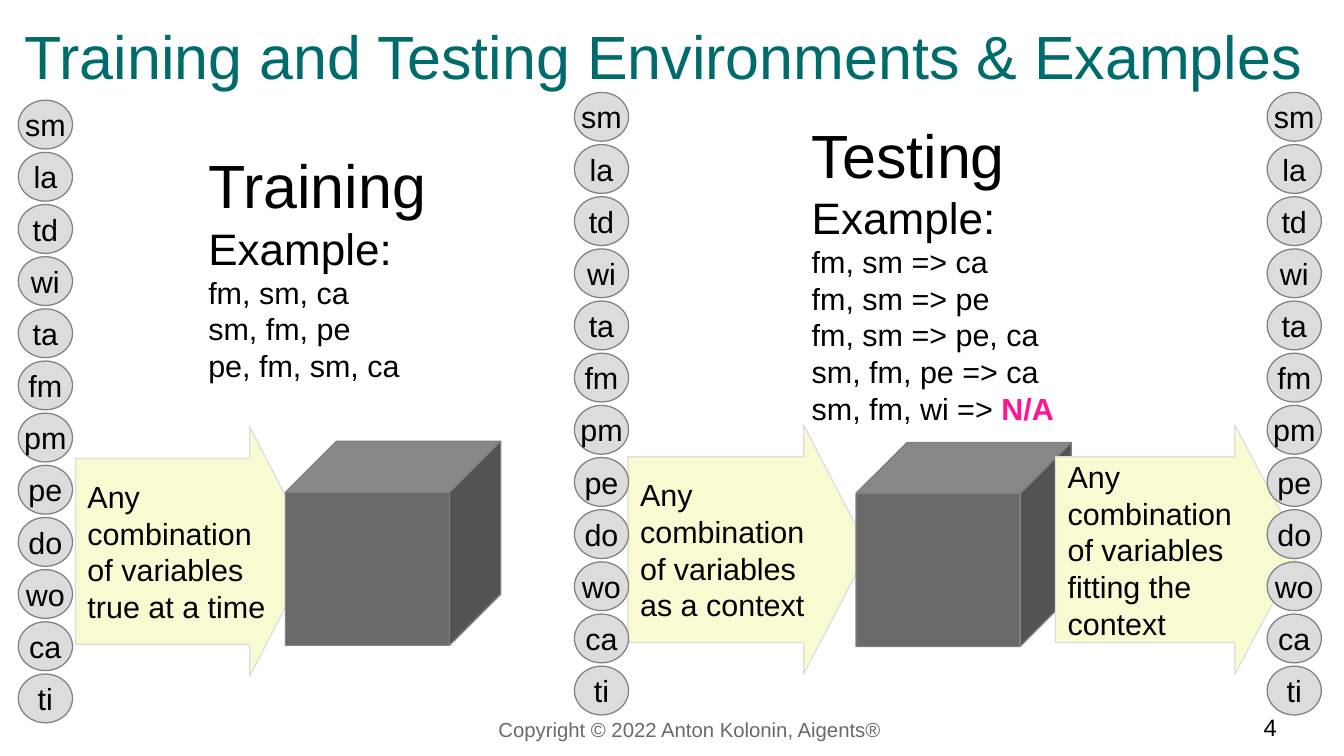
"""Build the slide on training and testing environments and examples."""
import pptx
import pptx.dml.color
import pptx.enum.shapes
import pptx.enum.text
import pptx.util

Pt = pptx.util.Pt
Kind = pptx.enum.shapes.MSO_SHAPE
Align = pptx.enum.text.PP_ALIGN
Anchor = pptx.enum.text.MSO_ANCHOR

TITLE = "Training and Testing Environments & Examples "
FOOTER = "Copyright © 2022 Anton Kolonin, Aigents®"
PAGE = "4"
LABELS = ["sm", "la", "td", "wi", "ta", "fm", "pm", "pe", "do", "wo", "ca", "ti"]
COLUMNS = [(10.8, 59.2), (339.1, 54.6), (748.1, 54.6)]
FLOW = [
    ("arrow", (370.8, 251.1, 142, 147), "Any combination of variables as a context"),
    ("cube", (505.4, 261.2, 127, 120.5), ""),
    ("arrow", (623.2, 251.1, 145, 147), "Any combination of variables fitting the context"),
    ("arrow", (44.6, 252.1, 141, 147), "Any combination of variables true at a time"),
    ("cube", (168.6, 260.5, 127, 120.5), ""),
]
EXAMPLES = [
    ((115.9, 83.8, 160.6, 136.8), "Training",
     ["fm, sm, ca", "sm, fm, pe", "pe, fm, sm, ca"], ""),
    ((472.1, 65.8, 188.6, 177.1), "Testing",
     ["fm, sm => ca", "fm, sm => pe", "fm, sm => pe, ca", "sm, fm, pe => ca",
      "sm, fm, wi => "], "N/A"),
]

THEME = {
    "font": "Arial", "text": "000000", "title": "006B6B", "footer": "696969",
    "alert": "FF1493", "dot": "DCDCDC", "edge": "808080",
    "arrow": "FAFAD2", "rim": "DCDCDC", "cube": "696969",
    "head": 36, "sub": 26, "body": 18, "page": 14, "small": 12,
}
WIDTH, HEIGHT = 793.44, 446.4
DOT_W, DOT_H, DOT_STEP = 32, 28.8, 30.8
INSET = (7.2, 3.6, 7.2, 3.6)
FLAT = (0, 0, 0, 0)


def paint(name):
    """Look up a theme colour."""
    return pptx.dml.color.RGBColor.from_string(THEME[name])


def style(run, size, color="text"):
    """Set the face, size and colour of a run."""
    run.font.name = THEME["font"]
    run.font.size = Pt(THEME[size])
    run.font.color.rgb = paint(color)


def write(shape, lines, color="text", align=Align.LEFT, anchor=Anchor.MIDDLE,
          inset=INSET, wrap=True):
    """Fill a shape with (text, size) lines."""
    frame = shape.text_frame
    frame.text = "\n".join(text for text, size in lines)
    frame.word_wrap = wrap
    frame.vertical_anchor = anchor
    (frame.margin_left, frame.margin_top,
     frame.margin_right, frame.margin_bottom) = map(Pt, inset)
    for para, (text, size) in zip(frame.paragraphs, lines):
        para.alignment = align
        for run in para.runs:
            style(run, size, color)


def draw(shapes, kind, box, fill, line):
    """Add a filled shape with a hairline."""
    shape = shapes.add_shape(kind, *map(Pt, box))
    shape.shadow.inherit = False
    shape.fill.solid()
    shape.fill.fore_color.rgb = paint(fill)
    shape.line.color.rgb = paint(line)
    shape.line.width = Pt(0)
    return shape


def label(shapes, box, lines, **looks):
    """Add a text box."""
    shape = shapes.add_textbox(*map(Pt, box))
    write(shape, lines, **looks)
    return shape


def main():
    """Lay out the slide and save it."""
    deck = pptx.Presentation()
    deck.slide_width, deck.slide_height = Pt(WIDTH), Pt(HEIGHT)
    shapes = deck.slides.add_slide(deck.slide_layouts[6]).shapes

    for part, box, text in FLOW:
        if part == "cube":
            draw(shapes, Kind.CUBE, box, "cube", "edge")
            continue
        arrow = draw(shapes, Kind.RIGHT_ARROW, box, "arrow", "rim")
        arrow.adjustments[0], arrow.adjustments[1] = 0.746, 0.27
        write(arrow, [(text, "body")], inset=(7.2, 3.6, 0, 3.6))

    label(shapes, (0, -1.4, WIDTH, 67.7), [(TITLE, "head")],
          color="title", align=Align.CENTER, wrap=False)

    for left, top in COLUMNS:
        group = shapes.add_group_shape().shapes
        for row, name in enumerate(LABELS):
            box = (left, top + row * DOT_STEP, DOT_W, DOT_H)
            dot = draw(group, Kind.OVAL, box, "dot", "edge")
            write(dot, [(name, "body")], align=Align.CENTER, wrap=False)

    for box, head, cases, alert in EXAMPLES:
        lines = [(head, "head"), ("Example:", "sub")]
        lines += [(case, "body") for case in cases]
        note = label(shapes, box, lines, anchor=Anchor.TOP)
        if alert:
            run = note.text_frame.paragraphs[-1].add_run()
            run.text = alert
            style(run, "body", "alert")
            run.font.bold = True

    label(shapes, (121, 417.6, 572.4, 20.2), [(FOOTER, "small")], color="footer",
          align=Align.CENTER, anchor=Anchor.BOTTOM, inset=FLAT)
    label(shapes, (684, 417.6, 69.8, 20.2), [(PAGE, "page")],
          align=Align.RIGHT, anchor=Anchor.BOTTOM, inset=FLAT)

    deck.save("out.pptx")


if __name__ == "__main__":
    main()
